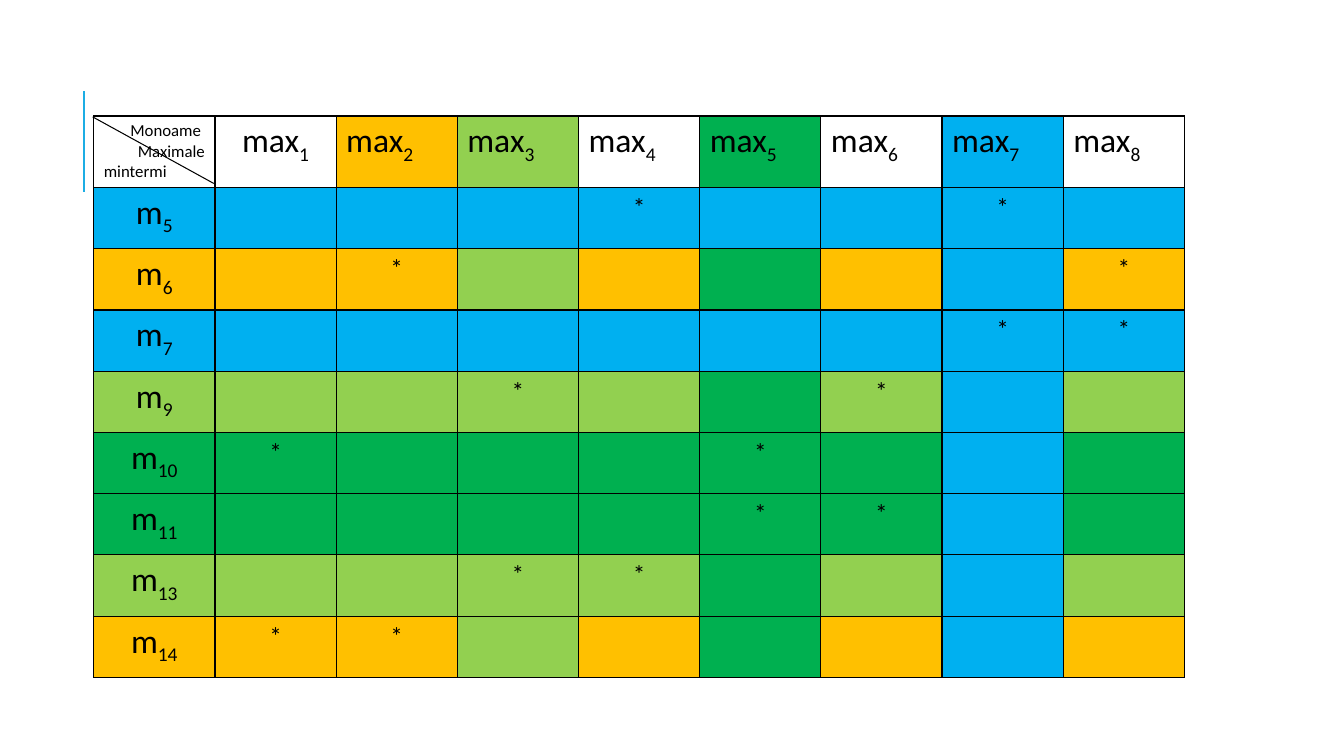
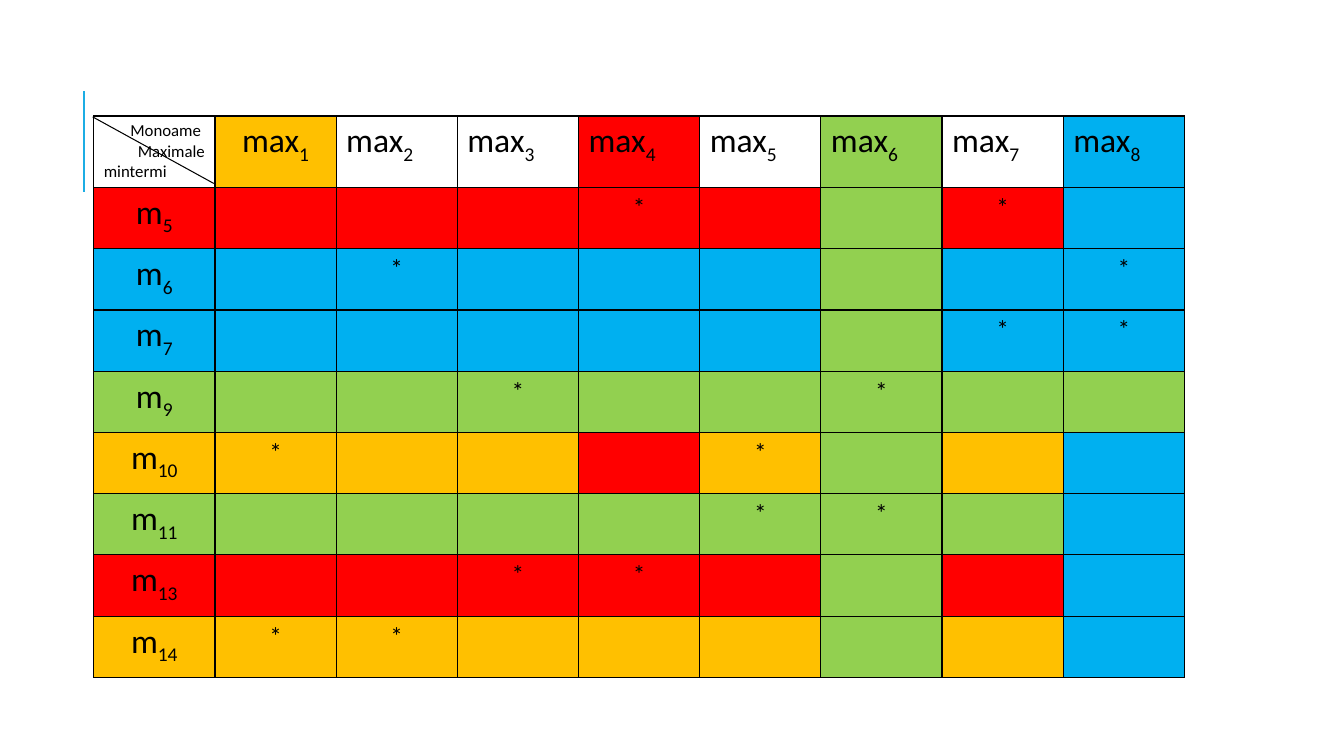
from lxml import etree
from pptx import Presentation
from pptx import util as u
from pptx.dml.color import RGBColor
from pptx.enum import shapes, text
from pptx.oxml import ns

# Content
COLUMNS = ["1", "2", "3", "4", "5", "6", "7", "8"]
MINTERMS = {  # minterm: maximal monomials that cover it
    "5": "47", "6": "28", "7": "78", "9": "36",
    "10": "15", "11": "56", "13": "34", "14": "12",
}
CORNER = [("Monoame ", text.PP_ALIGN.RIGHT), ("Maximale", text.PP_ALIGN.RIGHT),
          ("mintermi", text.PP_ALIGN.LEFT)]

BLUE, GREEN, LIME, AMBER, RED = "00B0F0", "00B050", "92D050", "FFC000", "FF0000"
BLACK, WHITE, ACCENT = "000000", "FFFFFF", "1CADE4"
FONT = "Calibri"

# Stripes painted in order, later ones on top: (kind, indices, colour)
COVERS = [
    [("max", "2", AMBER), ("m", "6 14", AMBER), ("max", "3", LIME),
     ("m", "9 13", LIME), ("max", "5", GREEN), ("m", "10 11", GREEN),
     ("max", "7", BLUE), ("m", "5 7", BLUE)],
    [("max", "1", AMBER), ("m", "10", AMBER), ("max", "4", RED),
     ("m", "14", AMBER), ("m", "5 13", RED), ("m", "11", LIME),
     ("max", "8", BLUE), ("m", "6 7", BLUE), ("max", "6", LIME),
     ("m", "9", LIME)],
]

# Geometry in inches
LEFT, TOP, WIDTH, HEIGHT = 0.93, 1.15, 10.82, 5.57
HEADER_HEIGHT = 0.71
COLUMN_WIDTH = WIDTH / (len(COLUMNS) + 1)
ROW_HEIGHT = (HEIGHT - HEADER_HEIGHT) / len(MINTERMS)


def rgb(value):
    return RGBColor.from_string(value)


def add_line(slide, start, end, color, width):
    line = slide.shapes.add_connector(
        shapes.MSO_CONNECTOR.STRAIGHT, *(u.Inches(v) for v in (*start, *end)))
    line.line.color.rgb = rgb(color)
    line.line.width = u.Pt(width)
    etree.SubElement(line._element.spPr, ns.qn("a:effectLst"))


def add_run(paragraph, words, size, subscript=False):
    run = paragraph.add_run()
    run.text = words
    run.font.name, run.font.size = FONT, u.Pt(size)
    run.font.color.rgb = rgb(BLACK)
    if subscript:
        run._r.get_or_add_rPr().set("baseline", "-25000")


def write_label(cell, name, index, centred):
    paragraph = cell.text_frame.paragraphs[0]
    paragraph.alignment = text.PP_ALIGN.CENTER if centred else text.PP_ALIGN.LEFT
    add_run(paragraph, name, 24)
    add_run(paragraph, index, 24, subscript=True)


def style_cell(cell, color):
    cell.fill.solid()
    cell.fill.fore_color.rgb = rgb(color)
    properties = cell._tc.get_or_add_tcPr()
    for position, side in enumerate(("lnL", "lnR", "lnT", "lnB")):
        border = etree.Element(ns.qn("a:" + side), w=str(u.Pt(1)))
        fill = etree.SubElement(border, ns.qn("a:solidFill"))
        etree.SubElement(fill, ns.qn("a:srgbClr"), val=BLACK)
        properties.insert(position, border)


def paint(stripes):
    """Return the colour of every cell as rows of a grid."""
    rows, columns = list(MINTERMS), len(COLUMNS) + 1
    grid = [[WHITE] * columns for _ in range(len(rows) + 1)]
    for kind, indices, color in stripes:
        for index in indices.split():
            if kind == "m":
                grid[rows.index(index) + 1] = [color] * columns
            else:
                for row in grid:
                    row[COLUMNS.index(index) + 1] = color
    return grid


def add_cover_table(slide, stripes):
    table = slide.shapes.add_table(
        len(MINTERMS) + 1, len(COLUMNS) + 1,
        *(u.Inches(v) for v in (LEFT, TOP, WIDTH, HEIGHT))).table
    table.first_row = table.horz_banding = False
    for column in table.columns:
        column.width = u.Inches(COLUMN_WIDTH)
    for number, row in enumerate(table.rows):
        row.height = u.Inches(ROW_HEIGHT if number else HEADER_HEIGHT)
    for row, colors in enumerate(paint(stripes)):
        for column, color in enumerate(colors):
            style_cell(table.cell(row, column), color)

    # Headings
    frame = table.cell(0, 0).text_frame
    for number, (words, alignment) in enumerate(CORNER):
        paragraph = frame.add_paragraph() if number else frame.paragraphs[0]
        paragraph.alignment = alignment
        add_run(paragraph, words, 12)
    for column, index in enumerate(COLUMNS, 1):
        write_label(table.cell(0, column), "max", index, centred=column == 1)

    # Minterms and their marks
    for row, (index, covered_by) in enumerate(MINTERMS.items(), 1):
        write_label(table.cell(row, 0), "m", index, centred=True)
        for monomial in covered_by:
            cell = table.cell(row, COLUMNS.index(monomial) + 1)
            paragraph = cell.text_frame.paragraphs[0]
            paragraph.alignment = text.PP_ALIGN.CENTER
            add_run(paragraph, "*", 18)


def main():
    presentation = Presentation()
    presentation.slide_width = u.Inches(13.33)
    presentation.slide_height = u.Inches(7.5)
    for stripes in COVERS:
        slide = presentation.slides.add_slide(presentation.slide_layouts[6])
        add_line(slide, (0.83, 1.9), (0.83, 0.9), ACCENT, 1.5)
        add_cover_table(slide, stripes)
        add_line(slide, (0.92, 1.16), (2.12, 1.82), BLACK, 0.75)
    presentation.save("out.pptx")


if __name__ == "__main__":
    main()
